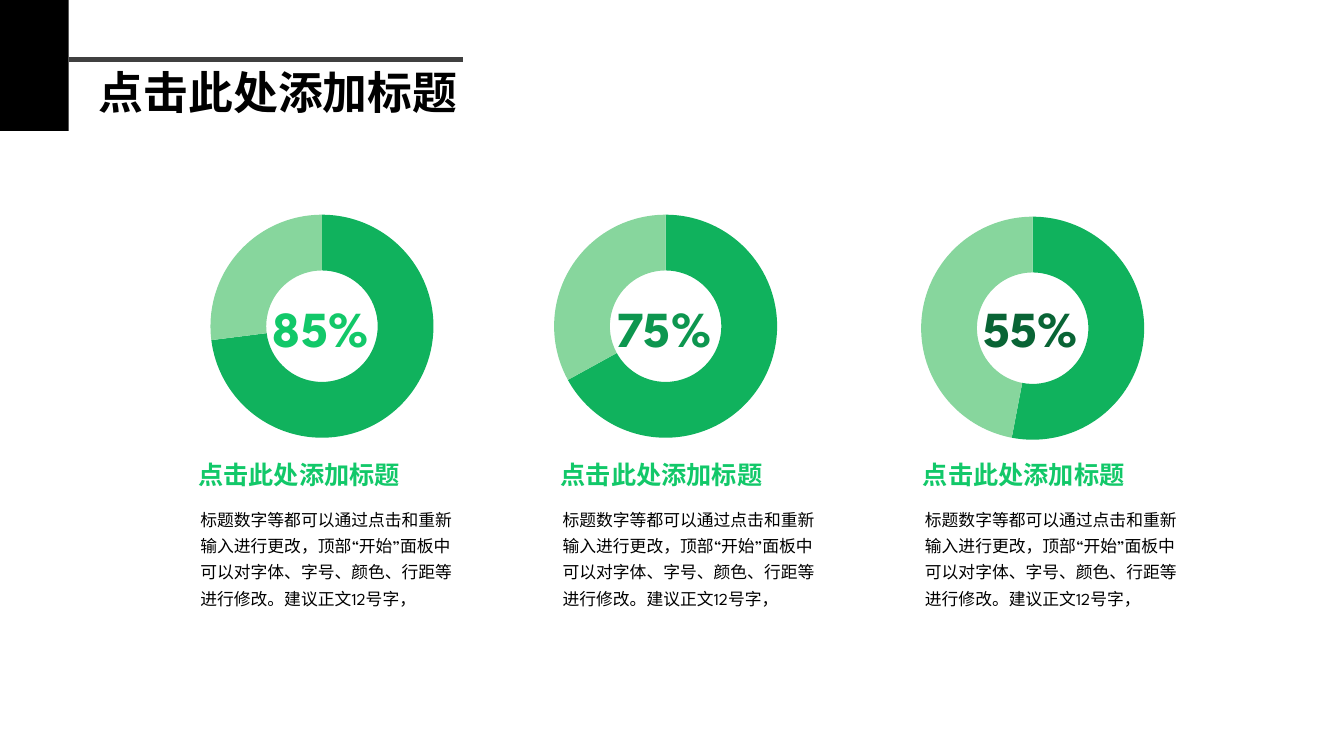
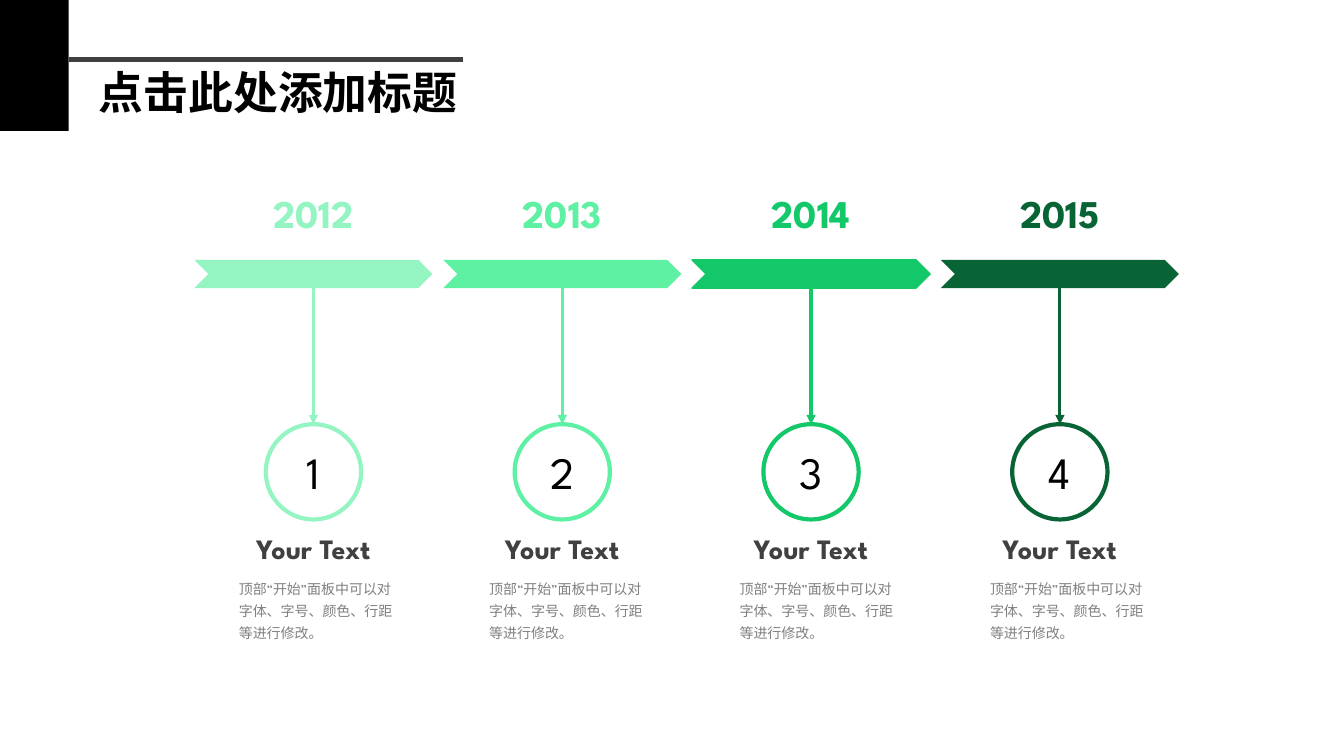
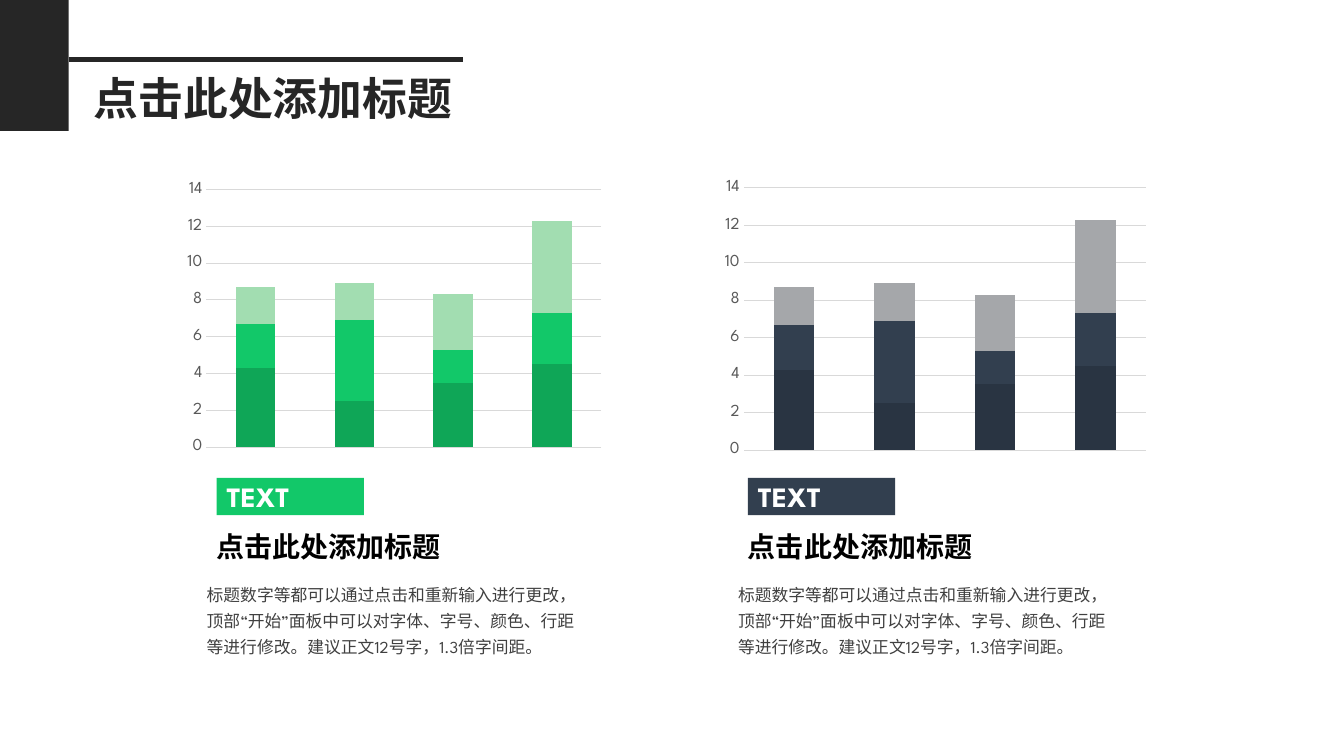
from lxml.etree import Element, SubElement
from pptx import Presentation
from pptx.chart.data import CategoryChartData
from pptx.dml.color import RGBColor
from pptx.enum.chart import XL_CHART_TYPE as ChartType, XL_TICK_MARK as TickMark
from pptx.enum.lang import MSO_LANGUAGE_ID as Language
from pptx.enum.shapes import MSO_CONNECTOR as Connector, MSO_SHAPE as Shape
from pptx.enum.text import MSO_ANCHOR as Anchor, MSO_AUTO_SIZE as AutoSize, PP_ALIGN as Align
from pptx.oxml.ns import qn
from pptx.util import Cm, Pt

FONT = "League Spartan"
COLORS = {
    "black": "000000", "white": "FFFFFF", "charcoal": "262626",
    "dark gray": "404040", "axis gray": "595959", "gray": "808080", "grid": "D9D9D9",
    "mint": "94F5C2", "light green": "5EF1A4", "green": "12C869",
    "mid green": "0D964F", "dark green": "096435",
    "ring": "10B25D", "ring rest": "87D69D",
    "bar green": "0FA657", "bar pale green": "A2DDB1",
    "bar navy": "293442", "slate": "323F4F", "bar gray": "A5A7AA",
}
TITLE = "点击此处添加标题"
BODY = ("标题数字等都可以通过点击和重新输入进行更改，顶部“开始”面板中可以对"
        "字体、字号、颜色、行距等进行修改。建议正文12号字，")
STEP_BODY = "顶部“开始”面板中可以对字体、字号、颜色、行距等进行修改。"


def rgb(name):
    return RGBColor.from_string(COLORS[name])


# Text
def write(frame, text, size, color, bold=False, align=Align.LEFT, spacing=None):
    paragraph = frame.paragraphs[0]
    paragraph.alignment = align
    if spacing:
        paragraph.line_spacing = spacing
    run = paragraph.add_run()
    run.text = text
    font = run.font
    font.size, font.bold, font.name = Pt(size), bold, FONT
    font.color.rgb = rgb(color)
    font.language_id = Language.SIMPLIFIED_CHINESE
    SubElement(run._r.get_or_add_rPr(), qn("a:ea"), typeface=FONT)


def add_text(slide, box, text, size, color, wrap=True, insets=None, **style):
    frame = slide.shapes.add_textbox(*map(Cm, box)).text_frame
    frame.word_wrap = wrap
    frame.auto_size = AutoSize.SHAPE_TO_FIT_TEXT
    if insets:
        across, down = map(Cm, insets)
        frame.margin_left = frame.margin_right = across
        frame.margin_top = frame.margin_bottom = down
    write(frame, text, size, color, **style)


# Shapes and lines
def add_preset(slide, kind, box, fill=None, outline=None, width=1):
    shape = slide.shapes.add_shape(kind, *map(Cm, box))
    shape.shadow.inherit = False
    if fill:
        shape.fill.solid()
        shape.fill.fore_color.rgb = rgb(fill)
    else:
        shape.fill.background()
    if outline:
        shape.line.color.rgb = rgb(outline)
        shape.line.width = Pt(width)
    else:
        shape.line.fill.background()
    shape.text_frame.vertical_anchor = Anchor.MIDDLE
    return shape


def add_line(slide, ends, color, width, arrow=False):
    line = slide.shapes.add_connector(Connector.STRAIGHT, *map(Cm, ends))
    line.line.color.rgb = rgb(color)
    line.line.width = Pt(width)
    if arrow:
        SubElement(line.line._get_or_add_ln(), qn("a:tailEnd"), type="triangle")
    SubElement(line._element.spPr, qn("a:effectLst"))
    return line


def add_header(slide, block="black", rule="dark gray", title_box=(2.24, 1.5, 11.28, 1.63)):
    add_preset(slide, Shape.RECTANGLE, (0, 0, 1.73, 3.3), block)
    add_line(slide, (1.73, 1.5, 11.68, 1.5), rule, 3)
    add_text(slide, title_box, TITLE, 32, block, bold=True)


# Charts
def add_chart(slide, kind, box, categories, series, plot_box):
    data = CategoryChartData()
    data.categories = categories
    for number, values in enumerate(series, 1):
        data.add_series(f"Series {number}", values)
    chart = slide.shapes.add_chart(kind, *map(Cm, box), data).chart
    chart.has_legend = chart.has_title = False
    chart.font.size, chart.font.name = Pt(10), FONT
    chart.font.color.rgb = rgb("black")
    place_plot(chart, plot_box)
    return chart


def place_plot(chart, plot_box):
    """Place the inner plot area by fractions of the chart frame."""
    area = chart._chartSpace.find(f".//{qn('c:plotArea')}")
    for layout in area.findall(qn("c:layout")):
        area.remove(layout)
    layout = Element(qn("c:layout"))
    area.insert(0, layout)
    manual = SubElement(layout, qn("c:manualLayout"))
    settings = [("layoutTarget", "inner"), ("xMode", "edge"), ("yMode", "edge")]
    for tag, value in settings + list(zip("xywh", plot_box)):
        SubElement(manual, qn(f"c:{tag}"), val=str(value))


def add_ring(slide, left, top, share, label, color):
    chart = add_chart(slide, ChartType.DOUGHNUT, (left, top, 9.37, 6.38), ["1", "2"],
                      [(share, 100 - share)], (0.2, 0.06, 0.6, 0.89))
    chart._chartSpace.find(f".//{qn('c:holeSize')}").set("val", "75")
    points = chart.plots[0].series[0].points
    for index, name in enumerate(("ring", "ring rest")):
        fill = points[index].format.fill
        fill.solid()
        fill.fore_color.rgb = rgb(name)
    add_text(slide, (left + 3.2, 7.37, 3.05, 1.8), label, 36, color, wrap=False, bold=True)


def add_stacked_columns(slide, box, colors):
    values = [(4.3, 2.5, 3.5, 4.5), (2.4, 4.4, 1.8, 2.8), (2, 2, 3, 5)]
    chart = add_chart(slide, ChartType.COLUMN_STACKED, box, ["1", "2", "3", "4"],
                      values, (0.06, 0.05, 0.92, 0.9))
    plot = chart.plots[0]
    plot.gap_width, plot.overlap, plot.vary_by_categories = 150, 100, False
    for series, name in zip(plot.series, colors):
        series.format.fill.solid()
        series.format.fill.fore_color.rgb = rgb(name)
    chart.category_axis.visible = False
    axis = chart.value_axis
    axis.minimum_scale, axis.maximum_scale, axis.major_unit = 0, 14, 2
    axis.major_tick_mark = axis.minor_tick_mark = TickMark.NONE
    axis.format.line.fill.background()
    axis.major_gridlines.format.line.color.rgb = rgb("grid")
    axis.major_gridlines.format.line.width = Pt(0.75)
    font = axis.tick_labels.font
    font.size, font.name = Pt(12), FONT
    font.color.rgb = rgb("axis gray")


# Slides
def build_rings(slide):
    add_header(slide)
    rings = [(3.43, 5, 73, "85%", "green"), (12.09, 5, 67, "75%", "mid green"),
             (21.34, 5.05, 53, "55%", "dark green")]
    for index, ring in enumerate(rings):
        add_ring(slide, *ring)
        left = 4.8 + 9.13 * index
        add_text(slide, (left, 12.57, 6.93, 2.92), BODY, 12, "black", spacing=1.3)
        add_text(slide, (left - 0.05, 11.46, 5.89, 1.02), TITLE, 18, "green", bold=True)


def build_timeline(slide):
    add_header(slide)
    steps = [("2012", "mint", None), ("2013", "light green", None),
             ("2014", "green", "green"), ("2015", "dark green", None)]
    for index, (year, color, outline) in enumerate(steps):
        center = 7.9 + 6.27 * index
        add_preset(slide, Shape.CHEVRON, (center - 3, 6.55, 6, 0.71), color, outline)
        add_text(slide, (center - 1.37, 4.65, 2.74, 1.45), year, 28, color,
                 wrap=False, bold=True, align=Align.CENTER)
        add_text(slide, (center - 2.78, 13.26, 5.56, 1.12), "Your Text", 20, "dark gray",
                 bold=True, align=Align.CENTER)
        circle = add_preset(slide, Shape.OVAL, (center - 1.2, 10.69, 2.4, 2.4),
                            outline=color, width=3)
        write(circle.text_frame, str(index + 1), 32, "black", align=Align.CENTER)
        arrow = add_line(slide, (center, 6.91, center, 10.69), color, 2.25, arrow=True)
        arrow.end_connect(circle, 0)
        add_text(slide, (5.77 + 6.31 * index, 14.38, 4.65, 1.93), STEP_BODY, 10, "gray",
                 spacing=1.3)


def build_columns(slide):
    add_header(slide, "charcoal", "charcoal", (2.11, 1.65, 12.07, 1.63))
    panels = [
        ((4.55, 4.42, 10.82, 7.21), ("bar green", "green", "bar pale green")),
        ((18.08, 4.37, 11.02, 7.34), ("bar navy", "slate", "bar gray")),
    ]
    for index, (chart_box, colors) in enumerate(panels):
        left = 5.46 + 13.39 * index
        add_stacked_columns(slide, chart_box, colors)
        tag = add_preset(slide, Shape.RECTANGLE, (left, 12.04, 3.71, 0.94), colors[1])
        write(tag.text_frame, "TEXT", 20, "white", bold=True)
        add_text(slide, (left - 0.25, 13.23, 6.96, 1.12), TITLE, 20, "black", bold=True)
        add_text(slide, (left - 0.43, 14.48, 9.9, 2.18), BODY + "1.3倍字间距。", 12,
                 "dark gray", insets=(0.18, 0.1), spacing=1.3)


def main():
    presentation = Presentation()
    presentation.slide_width, presentation.slide_height = Cm(33.87), Cm(19.05)
    for build in (build_rings, build_timeline, build_columns):
        build(presentation.slides.add_slide(presentation.slide_layouts[6]))
    presentation.save("out.pptx")


if __name__ == "__main__":
    main()
